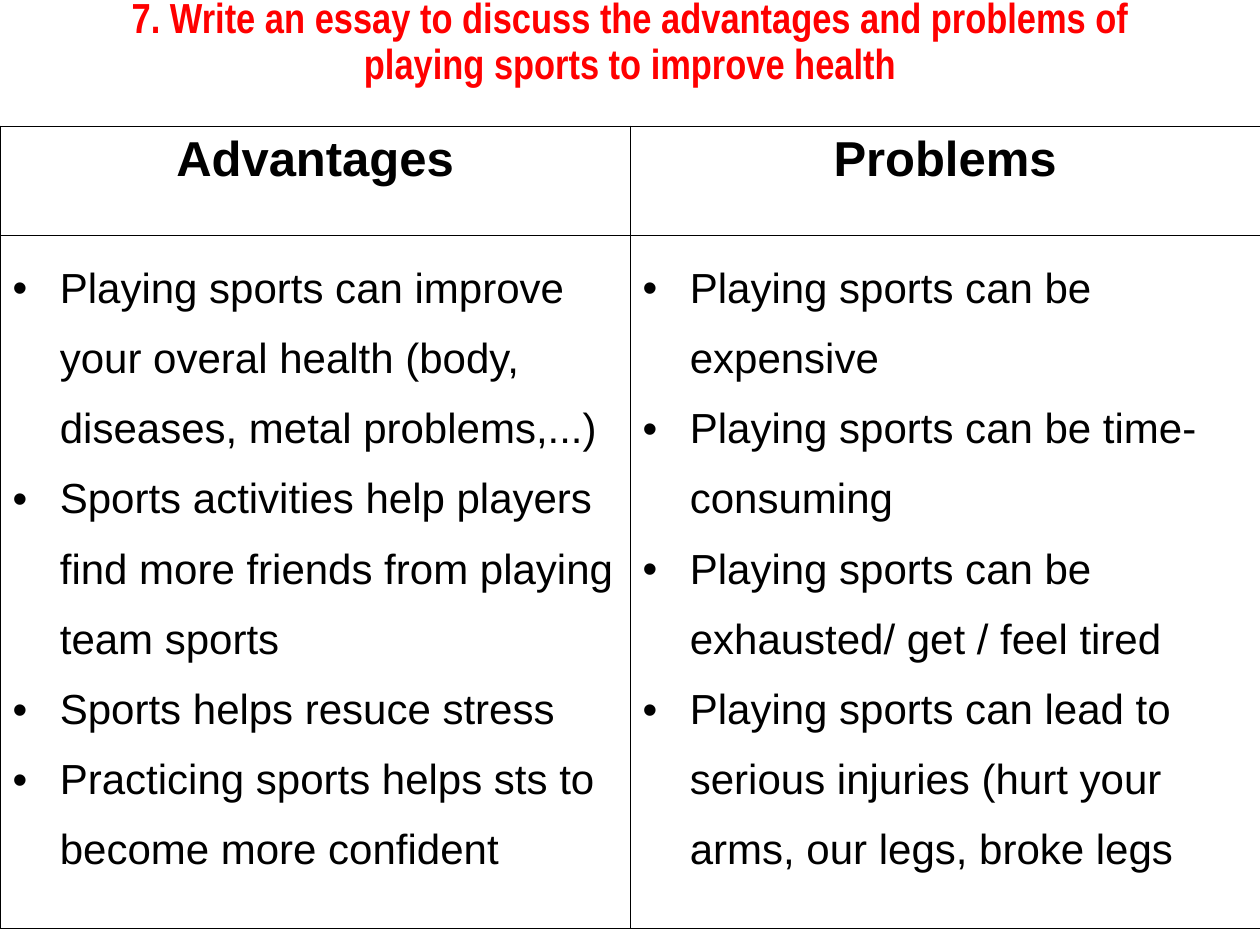
from lxml.etree import SubElement
from pptx import Presentation
from pptx.dml.color import RGBColor
from pptx.enum.text import MSO_ANCHOR as Anchor, MSO_AUTO_SIZE as AutoSize, PP_ALIGN as Align
from pptx.oxml.ns import qn
from pptx.util import Pt

BLACK, WHITE, RED = "000000", "FFFFFF", "FF0000"
TITLE = "7. Write an essay to discuss the advantages and problems of playing sports to improve health"
COLUMNS = {
    "Advantages": [
        "Playing sports can improve your overal health (body, diseases, metal problems,...)",
        "Sports activities help players find more friends from playing team sports",
        "Sports helps resuce stress",
        "Practicing sports helps sts to become more confident",
    ],
    "Problems": [
        "Playing sports can be expensive",
        "Playing sports can be time-consuming",
        "Playing sports can be exhausted/ get / feel tired",
        "Playing sports can lead to serious injuries (hurt your arms, our legs, broke legs",
    ],
}


def color(hex_string):
    return RGBColor.from_string(hex_string)


def add_run(paragraph, text, size, font_name="Arial", fill=BLACK, bold=False):
    run = paragraph.add_run()
    run.text = text
    run.font.name = font_name
    run.font.size = Pt(size)
    run.font.bold = bold
    run.font.color.rgb = color(fill)


def add_bullet(paragraph, indent):
    properties = paragraph._p.get_or_add_pPr()
    properties.set("marL", str(Pt(indent)))
    properties.set("indent", str(-Pt(indent)))
    bullet_color = SubElement(properties, qn("a:buClr"))
    SubElement(bullet_color, qn("a:srgbClr"), val=BLACK)
    SubElement(properties, qn("a:buFont"), typeface="Arial")
    SubElement(properties, qn("a:buChar"), char="•")


def style_cell(cell):
    properties = cell._tc.get_or_add_tcPr()
    for side in ("a:lnL", "a:lnR", "a:lnT", "a:lnB"):
        line = SubElement(properties, qn(side), w=str(Pt(0.45)))
        SubElement(SubElement(line, qn("a:solidFill")), qn("a:srgbClr"), val=BLACK)
    cell.fill.solid()
    cell.fill.fore_color.rgb = color(WHITE)
    cell.margin_left = cell.margin_right = Pt(7.2)
    cell.margin_top = cell.margin_bottom = Pt(3.6)


def place_title(slide, left, top, width, height):
    title = slide.shapes.title
    title.left, title.top, title.width, title.height = Pt(left), Pt(top), Pt(width), Pt(height)
    frame = title.text_frame
    frame.word_wrap = True
    frame.auto_size = AutoSize.NONE
    frame.vertical_anchor = Anchor.MIDDLE
    paragraph = frame.paragraphs[0]
    paragraph.alignment = Align.CENTER
    paragraph.line_spacing = 0.9
    add_run(paragraph, TITLE, 24, "Arial Narrow", RED, bold=True)


def fill_header(cell, heading):
    style_cell(cell)
    paragraph = cell.text_frame.paragraphs[0]
    paragraph.alignment = Align.CENTER
    add_run(paragraph, heading, 28, bold=True)


def fill_points(cell, points):
    style_cell(cell)
    frame = cell.text_frame
    for index, point in enumerate(points):
        paragraph = frame.add_paragraph() if index else frame.paragraphs[0]
        paragraph.line_spacing = 1.5
        add_bullet(paragraph, 27)
        add_run(paragraph, point, 24)


def place_table(slide, left, top, width, height, header_height):
    frame = slide.shapes.add_table(2, len(COLUMNS), Pt(left), Pt(top), Pt(width), Pt(height))
    table = frame.table
    table.first_row = table.horz_banding = False
    table.rows[0].height = Pt(header_height)
    table.rows[1].height = Pt(height - header_height)
    for index, (heading, points) in enumerate(COLUMNS.items()):
        table.columns[index].width = Pt(width / len(COLUMNS))
        fill_header(table.cell(0, index), heading)
        fill_points(table.cell(1, index), points)


def main():
    presentation = Presentation()
    presentation.slide_width, presentation.slide_height = Pt(720), Pt(540)
    slide = presentation.slides.add_slide(presentation.slide_layouts[5])
    slide.background.fill.solid()
    slide.background.fill.fore_color.rgb = color(WHITE)
    place_title(slide, 49.5, 0, 621, 49)
    place_table(slide, 0, 72, 720, 458.5, header_height=62.5)
    presentation.save("out.pptx")


if __name__ == "__main__":
    main()
